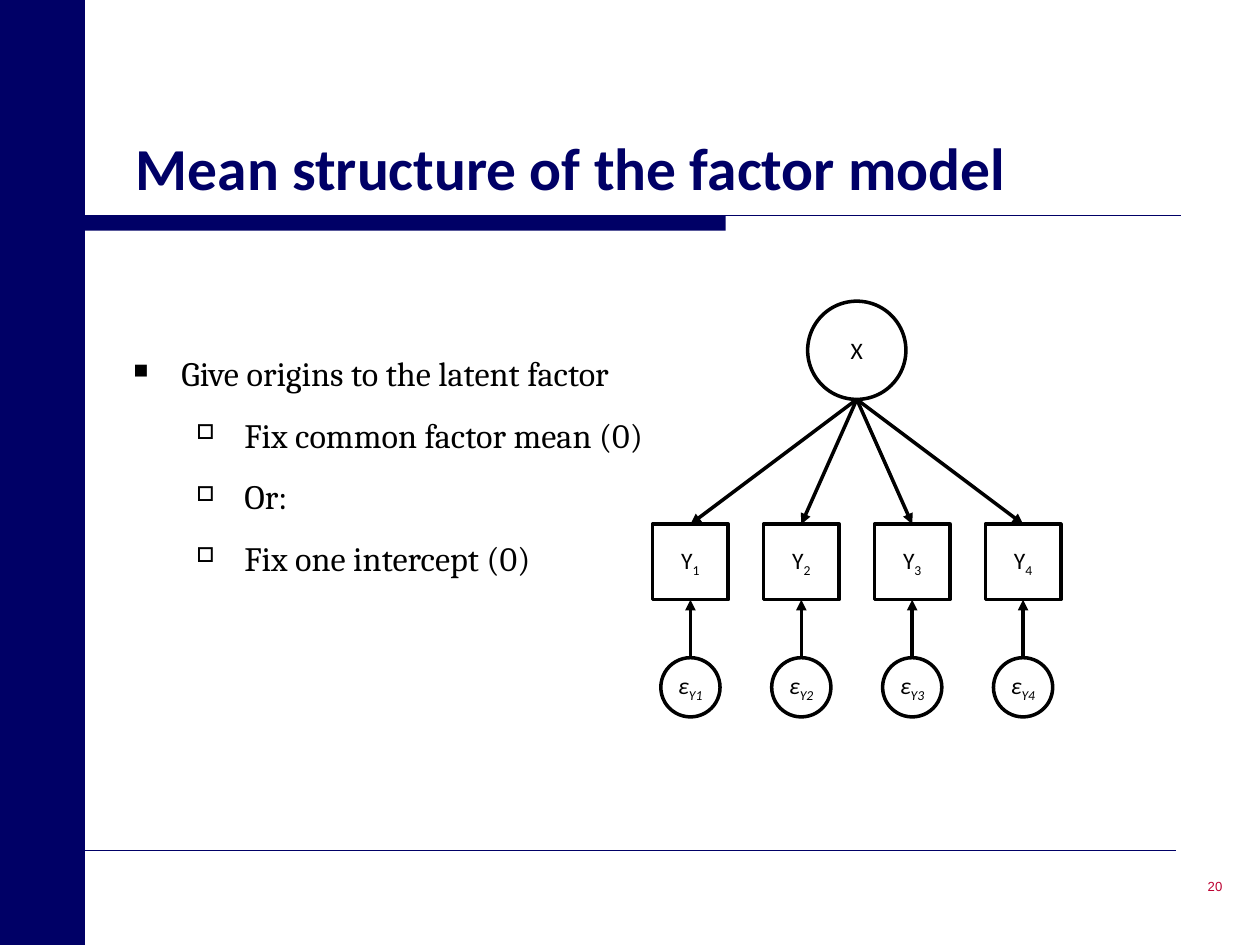
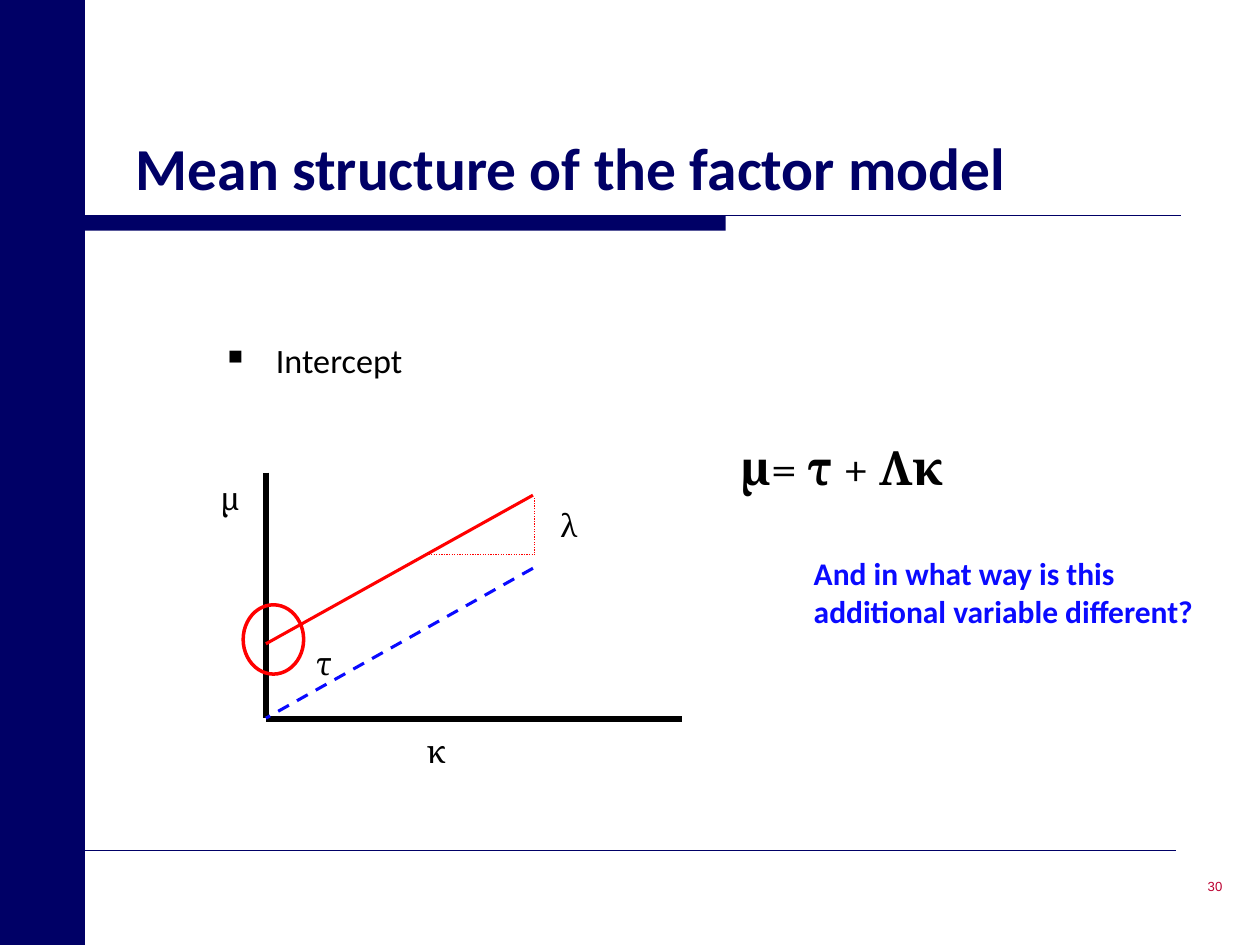
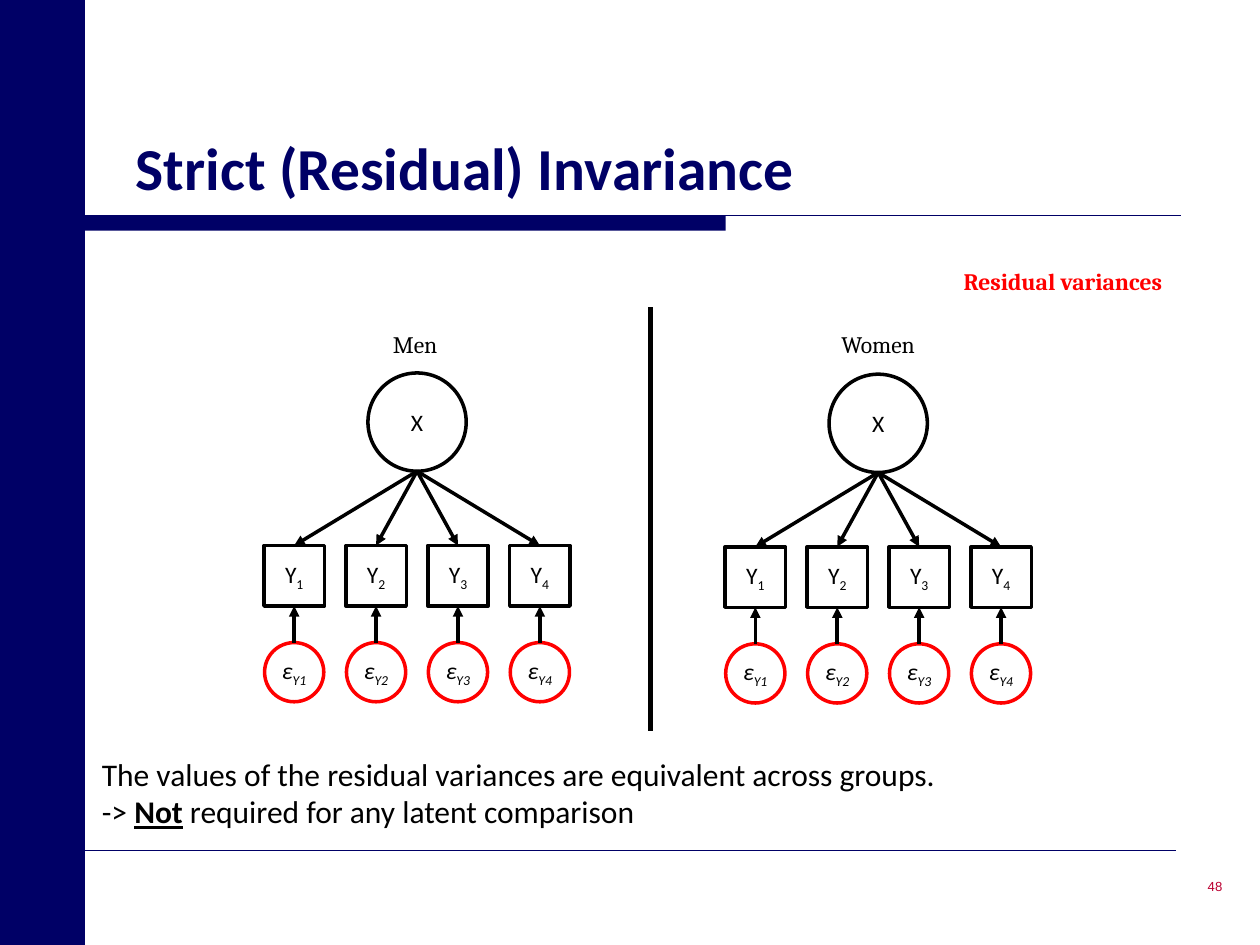
from lxml import etree
from pptx import Presentation
from pptx import util as u
from pptx.dml.color import RGBColor
from pptx.enum import dml, shapes, text
from pptx.oxml.ns import qn

NAVY = RGBColor(0x00, 0x00, 0x66)
BLACK = RGBColor(0x00, 0x00, 0x00)
RED = RGBColor(0xFF, 0x00, 0x00)
BLUE = RGBColor(0x0A, 0x0A, 0xFF)
CRIMSON = RGBColor(0xBC, 0x00, 0x31)

TITLE = {"name": "Calibri", "size": u.Pt(34), "bold": True, "color": NAVY}
NUMBER = {"name": "Arial", "size": u.Pt(7.5), "color": CRIMSON}
NODE = {"name": "Calibri", "size": u.Pt(13.5), "color": BLACK}
ERROR = NODE | {"italic": True}
SUBSCRIPT = {"baseline": -25000}
SERIF_POINT = {"name": "Cambria", "size": u.Pt(19.5), "color": BLACK}
SANS_POINT = SERIF_POINT | {"name": "Calibri"}
SYMBOL = {"name": "Cambria", "size": u.Pt(18), "color": BLACK}
EQUATION = SYMBOL | {"size": u.Pt(27)}
STATEMENT = SYMBOL | {"name": "Calibri"}
QUESTION = STATEMENT | {"bold": True, "color": BLUE}
GROUP = {"name": "Cambria", "size": u.Pt(13.5), "color": BLACK}
CAPTION = GROUP | {"bold": True, "color": RED}

BOTTOM, MIDDLE = text.MSO_ANCHOR.BOTTOM, text.MSO_ANCHOR.MIDDLE
CENTER, RIGHT = text.PP_ALIGN.CENTER, text.PP_ALIGN.RIGHT
OVAL, RECTANGLE = shapes.MSO_SHAPE.OVAL, shapes.MSO_SHAPE.RECTANGLE
DASH, DOT = dml.MSO_LINE.DASH, dml.MSO_LINE.ROUND_DOT


class Deck:
    def __init__(self):
        self.deck = Presentation()
        self.deck.slide_width = u.Inches(10)
        self.deck.slide_height = u.Inches(7.5)
        self.slide = None

    def start(self, title, number):
        self.slide = self.deck.slides.add_slide(self.deck.slide_layouts[6])
        self.shape(RECTANGLE, (0.67, 1.71, 5.09, 0.12), fill=NAVY)
        self.line((0.67, 1.71), (9.37, 1.71), NAVY, 0.75)
        self.line((0.67, 6.75), (9.33, 6.75), NAVY, 0.25)
        self.shape(RECTANGLE, (0, 0, 0.67, 7.5), NAVY, 1, NAVY)
        self.text((0.98, 0.33, 7.69, 1.33), [title], TITLE, anchor=BOTTOM)
        self.text((7.72, 6.74, 2.08, 0.58), [number], NUMBER, MIDDLE, RIGHT)

    def shape(self, kind, box, outline=None, width=2, fill=None):
        shape = self.slide.shapes.add_shape(kind, *map(u.Inches, box))
        shape.shadow.inherit = False
        if fill is None:
            shape.fill.background()
        else:
            shape.fill.solid()
            shape.fill.fore_color.rgb = fill
        if outline is None:
            shape.line.fill.background()
        else:
            shape.line.color.rgb = outline
            shape.line.width = u.Pt(width)
        return shape

    def line(self, start, end, color=BLACK, width=2.0, dash=None, arrow=False):
        connector = self.slide.shapes.add_connector(
            shapes.MSO_CONNECTOR.STRAIGHT, *map(u.Inches, (*start, *end)))
        connector.line.color.rgb = color
        connector.line.width = u.Pt(width)
        if dash is not None:
            connector.line.dash_style = dash
        properties = connector.element.spPr
        if arrow:
            etree.SubElement(properties.find(qn("a:ln")), qn("a:tailEnd"), type="triangle")
        etree.SubElement(properties, qn("a:effectLst"))

    def add_runs(self, paragraph, runs, style):
        for words, changes in [(runs, {})] if isinstance(runs, str) else runs:
            run = paragraph.add_run()
            run.text = words
            for key, value in (style | changes).items():
                if key == "color":
                    run.font.color.rgb = value
                elif key == "baseline":
                    run._r.get_or_add_rPr().set(key, str(value))
                else:
                    setattr(run.font, key, value)

    def text(self, box, lines, style, anchor=text.MSO_ANCHOR.TOP, align=None):
        frame = self.slide.shapes.add_textbox(*map(u.Inches, box)).text_frame
        frame.word_wrap = True
        frame.vertical_anchor = anchor
        for index, runs in enumerate(lines):
            paragraph = frame.add_paragraph() if index else frame.paragraphs[0]
            paragraph.alignment = align
            self.add_runs(paragraph, runs, style)
        return frame

    def bullets(self, box, points, style):
        frame = self.text(box, points, style)
        for side in ("left", "right", "top", "bottom"):
            setattr(frame, f"margin_{side}", 0)
        for index, paragraph in enumerate(frame.paragraphs):
            mark, indent = ("□", 0.88) if index else ("■", 0.38)
            properties = paragraph._p.get_or_add_pPr()
            properties.set("marL", str(u.Inches(indent)))
            properties.set("indent", str(u.Inches(-0.38)))
            etree.SubElement(properties, qn("a:buSzPct"), val="60000")
            etree.SubElement(properties, qn("a:buChar"), char=mark)
            if index:
                paragraph.level = 1
                paragraph.line_spacing = 1.5

    def node(self, kind, center, top, size, runs, style=NODE, outline=BLACK):
        frame = self.shape(kind, (center - size / 2, top, size, size), outline).text_frame
        frame.word_wrap = False
        frame.vertical_anchor = MIDDLE
        frame.paragraphs[0].alignment = CENTER
        self.add_runs(frame.paragraphs[0], runs, style)

    def factor_model(self, center, factor_top, item_top, error_top, pitch, item_size,
                     error_color=BLACK):
        factor_size, error_size = 0.78, 0.47
        self.node(OVAL, center, factor_top, factor_size, "X")
        for number in range(1, 5):
            x = center + (number - 2.5) * pitch
            self.node(RECTANGLE, x, item_top, item_size,
                      [("Y", {}), (str(number), SUBSCRIPT)])
            self.node(OVAL, x, error_top, error_size,
                      [("ε", {}), (f"Y{number}", SUBSCRIPT)], ERROR, error_color)
            self.line((center, factor_top + factor_size), (x, item_top), arrow=True)
            self.line((x, error_top), (x, item_top + item_size), arrow=True)


def origins(deck):
    deck.start("Mean structure of the factor model", "20")
    deck.factor_model(6.8, 2.39, 4.16, 5.22, 0.88, 0.6)
    deck.bullets((1.06, 2.8, 6.06, 2.75),
                 ["Give origins to the latent factor", "Fix common factor mean (0)",
                  "Or:", "Fix one intercept (0)"], SERIF_POINT)


def intercept(deck):
    deck.start("Mean structure of the factor model", "30")
    deck.bullets((1.81, 2.69, 6.06, 2.75), ["Intercept"], SANS_POINT)
    for start, end, color, width, dash in (
            ((2.11, 3.75), (2.11, 5.7), BLACK, 3.5, None),
            ((5.41, 5.71), (2.11, 5.71), BLACK, 3.5, None),
            ((4.23, 3.93), (2.11, 5.11), RED, 1.75, None),
            ((3.4, 4.4), (4.24, 4.4), RED, 0.75, DOT),
            ((4.24, 4.39), (4.24, 3.94), RED, 0.75, DOT),
            ((4.23, 4.51), (2.11, 5.7), BLUE, 1.75, DASH)):
        deck.line(start, end, color, width, dash)
    deck.shape(OVAL, (1.93, 4.8, 0.48, 0.55), RED)
    for symbol, left, top in (("κ", 3.29, 5.76), ("μ", 1.65, 3.75),
                              ("τ", 2.41, 5.06), ("λ", 4.35, 3.97)):
        deck.text((left, top, 1.18, 0.4), [symbol], SYMBOL)
    bold = {"bold": True}
    deck.text((5.77, 3.43, 2.66, 1.01),
              [[("μ", bold), ("= ", {}), ("τ", bold), (" + ", {}), ("Λκ", bold)]], EQUATION)
    deck.text((6.36, 4.35, 3.45, 0.71),
              ["And in what way is this additional variable different?"], QUESTION)


def strict_invariance(deck):
    deck.start("Strict (Residual) Invariance", "48")
    for group, label_left, center, drop in (("Men", 3.02, 3.31, 0), ("Women", 6.58, 6.97, 0.01)):
        deck.factor_model(center, 2.96 + drop, 4.33 + drop, 5.1 + drop, 0.65, 0.48, RED)
        deck.text((label_left, 2.57, 2.3, 0.33), [group], GROUP)
    deck.text((7.55, 2.07, 2.49, 0.33), ["Residual variances"], CAPTION)
    deck.line((5.16, 2.44), (5.16, 5.8), width=3)
    deck.text((0.71, 5.94, 8.22, 0.71),
              ["The values of the residual variances are equivalent across groups.",
               [("-> ", {}), ("Not", {"bold": True, "underline": True}),
                (" required for any latent comparison", {})]], STATEMENT)


def main():
    deck = Deck()
    for build in (origins, intercept, strict_invariance):
        build(deck)
    deck.deck.save("out.pptx")


if __name__ == "__main__":
    main()
